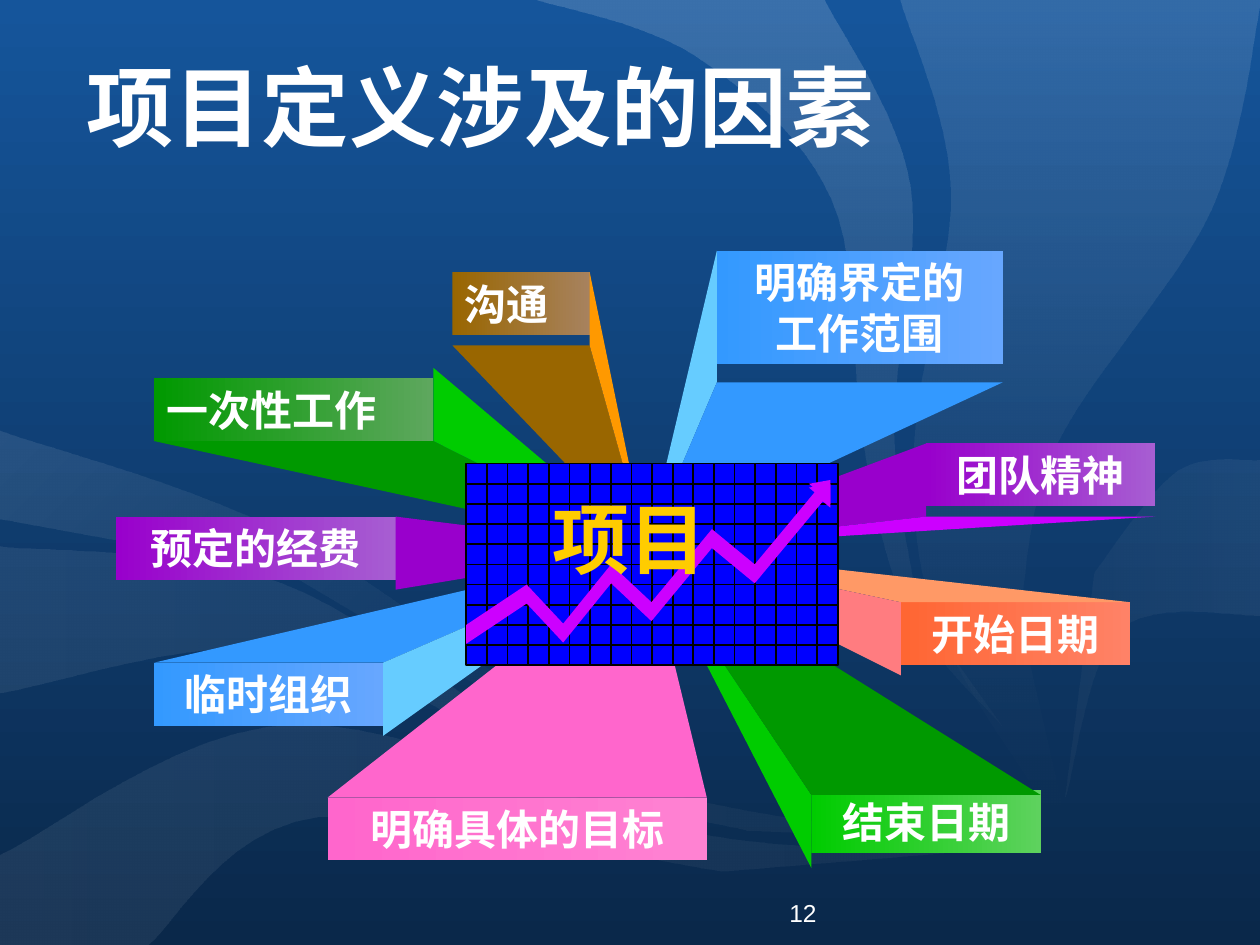
from pptx import Presentation
from pptx.dml.color import RGBColor
from pptx.enum.shapes import MSO_CONNECTOR, MSO_SHAPE
from pptx.enum.text import MSO_ANCHOR, PP_ALIGN
from pptx.oxml.ns import qn
from pptx.util import Inches, Pt
from lxml.etree import SubElement

WHITE, BLACK, GOLD, BLUE = map(RGBColor.from_string, "FFFFFF 000000 FFCC00 0000FF".split())
SKY, PALE, AZURE = map(RGBColor.from_string, "3399FF 66CCFF 67A7FF".split())
BROWN, AMBER, TAN = map(RGBColor.from_string, "996600 FF9900 A7825E".split())
PLUM, VIOLET, LILAC = map(RGBColor.from_string, "9900CC CC00FF A75ED2".split())
GREEN, LIME, SAGE, MINT = map(RGBColor.from_string, "009900 00CC00 5EA75E 5ED25E".split())
PINK, ROSE, RUST, CORAL = map(RGBColor.from_string, "FF66CC FF82D2 FF6633 FF8267".split())
PEACH, SALMON = map(RGBColor.from_string, "FF9966 FF7C80".split())
DAY, NIGHT, GREY, SILVER = map(RGBColor.from_string, "15559B 0A284A B6B6B6 DEDEDE".split())
STEEL, ASH = map(RGBColor.from_string, "C3C3C3 D1D1D1".split())
LEFT, MID, RIGHT = PP_ALIGN.LEFT, PP_ALIGN.CENTER, PP_ALIGN.RIGHT

deck = Presentation()
deck.slide_width, deck.slide_height = Inches(10), Inches(7.5)
slide = deck.slides.add_slide(deck.slide_layouts[6])
shapes = slide.shapes


def draw(points, *tones, angle=0, alpha=()):
    """Fill a polygon, or the rectangle between two corners, with one or two tones."""
    spots = [(Inches(x), Inches(y)) for x, y in points]
    if len(spots) == 2:
        (x, y), (far, low) = spots
        shape = shapes.add_shape(MSO_SHAPE.RECTANGLE, x, y, far - x, low - y)
    else:
        pen = shapes.build_freeform(*spots[0], scale=1.0)
        pen.add_line_segments(spots[1:], close=True)
        shape = pen.convert_to_shape()
    shape.shadow.inherit = False
    shape.line.fill.background()
    if len(tones) == 1:
        shape.fill.solid()
        shape.fill.fore_color.rgb = tones[0]
        return shape
    shape.fill.gradient()
    shape.fill.gradient_angle = -angle % 360
    for stop, tone in zip(shape.fill.gradient_stops, tones):
        stop.color.rgb = tone
    for node, share in zip(shape._element.iter(qn("a:srgbClr")), alpha):
        SubElement(node, qn("a:alpha")).set("val", str(share * 1000))
    return shape


def write(shape, text, size=24, font="Times New Roman", color=WHITE, bold=True,
          align=MID, anchor=MSO_ANCHOR.TOP, wrap=True):
    frame = shape.text_frame
    frame.word_wrap = wrap
    frame.vertical_anchor = anchor
    for i, line in enumerate(text.split("\n")):
        para = frame.add_paragraph() if i else frame.paragraphs[0]
        para.alignment = align
        run = para.add_run()
        run.text = line
        run.font.size, run.font.name, run.font.bold = Pt(size), font, bold
        run.font.color.rgb = color
        SubElement(run.font._element, qn("a:ea")).set("typeface", "Noto Sans CJK SC")


# Backdrop
back = slide.background.fill
back.gradient()
back.gradient_angle = 270
for stop, tone in zip(back.gradient_stops, (DAY, NIGHT)):
    stop.color.rgb = tone

# Each wave: its smooth sides, end tone pair, angle, opacity
waves = [
    ([[(0, 4.34), (2.23, 4.63), (4.71, 6.11), (7.32, 6.65)],
      [(5.92, 6.59), (4.62, 6.24), (2.33, 5.16), (0, 5.5)]], (WHITE, GREY), 0, (8, 5)),
    ([[(0, 3.42), (2.41, 4.31), (4.94, 6.12)],
      [(2.27, 4.54), (0, 4.12)]], (WHITE, SILVER), 45, (10, 0)),
    ([[(4.25, 0), (5.52, 0.45), (6.6, 1.59), (6.85, 3.51), (7.2, 4.84), (7.95, 5.76)],
      [(7.28, 4.82), (7.09, 3.42), (7.22, 1.47), (6.54, 0)]], (WHITE, STEEL), 90, (16, 3)),
    ([[(10, 4.88), (8.89, 4.99), (8.46, 6.32)],
      [(8.69, 4.54), (9.34, 3.74), (10, 3.65)]], (GREY, WHITE), 0, (5, 6)),
    ([[(7.15, 0), (7.55, 1.51), (7.26, 3.54), (7.47, 5.01), (8.5, 6.69)],
      [(8.09, 4.91), (8.38, 3.54), (9.6, 1.68), (10, 0)]], (WHITE, GREY), 90, (13, 0)),
    ([[(0, 6.78), (2.34, 5.75), (5.6, 6.62), (7.91, 6.73)],
      [(5.72, 6.91), (2.52, 6.48), (1.16, 7.5)], [(0, 7.5)]], (WHITE, ASH), 0, (8, 5)),
]
STEPS = 12
for sides, tones, angle, alpha in waves:
    points = []
    for side in sides:
        knots = side[:1] + side + side[-1:]
        for a, b, c, d in zip(knots, knots[1:], knots[2:], knots[3:]):
            for n in range(STEPS):
                t = n / STEPS
                points.append([q + t * (r - p + t * (2 * p - 5 * q + 4 * r - s
                                                     + t * (3 * q - p - 3 * r + s))) / 2
                               for p, q, r, s in zip(a, b, c, d)])
        points.append(side[-1])
    draw(points, *tones, angle=angle, alpha=alpha)

# Page number and title
page = shapes.add_textbox(Inches(5.08), Inches(7.08), Inches(1.5), Inches(0.25))
write(page, "12", size=14, font="Arial", bold=False, align=RIGHT)
title = shapes.add_textbox(Inches(0.59), Inches(0.21), Inches(8.5), Inches(1.25))
write(title, "项目定义涉及的因素", size=50, font="Calibri", align=LEFT, anchor=MSO_ANCHOR.MIDDLE)

# Factor labels, each with the tones of the sides that run to the centre
labels = [
    ("沟通", 3.59, 2.16, 1.09, (BROWN, TAN), LEFT, {"low": BROWN, "right": AMBER}),
    ("明确界定的\n工作范围", 5.69, 1.99, 2.27, (SKY, AZURE), MID, {"left": PALE, "low": SKY}),
    ("团队精神", 7.35, 3.52, 1.82, (PLUM, LILAC), MID, {"left": PLUM, "low": VIOLET}),
    ("开始日期", 7.15, 4.78, 1.82, (RUST, CORAL), MID, {"top": PEACH, "left": SALMON}),
    ("一次性工作", 1.22, 3, 2.22, (GREEN, SAGE), LEFT, {"low": GREEN, "right": LIME}),
    ("预定的经费", 0.92, 4.1, 2.22, (PLUM, LILAC), MID, {"right": PLUM}),
    ("临时组织", 1.22, 5.26, 1.82, (SKY, AZURE), MID, {"top": SKY, "right": PALE}),
    ("明确具体的目标", 2.6, 6.33, 3.01, (PINK, ROSE), MID, {"top": PINK}),
    ("结束日期", 6.44, 6.27, 1.82, (LIME, MINT), MID, {"left": LIME, "top": GREEN}),
]
HUB = (5.13, 4.35)
DEPTH = 1.16
rays = []
for text, x, y, wide, tones, align, faces in labels:
    high = 0.5 + 0.4 * text.count("\n")
    far = x + wide
    write(draw([(x, y), (far, y + high)], *tones), text, align=align)
    top, low = y, y + high * DEPTH
    if faces.get("right") == LIME:
        top, low = y + high * (1 - DEPTH), y + high
    elif faces.get("left") == LIME:
        top, low = top + 0.04, low + 0.04
    edges = {"top": [(x, top), (far, top)], "low": [(x, low), (far, low)],
             "left": [(x, top), (x, low)], "right": [(far, top), (far, low)]}
    rays += [(edges[name], tone) for name, tone in faces.items()]
for edge, tone in rays:
    draw(edge + [HUB], tone)

# Central chart board
WEST, NORTH, EAST, SOUTH = 3.7, 3.68, 6.65, 5.28
COLS, ROWS = 18, 10
board = draw([(WEST, NORTH), (EAST, SOUTH)], BLUE)
board.line.color.rgb, board.line.width = BLACK, Pt(1)
xs = [WEST + (EAST - WEST) * i / COLS for i in range(1, COLS)]
ys = [NORTH + (SOUTH - NORTH) * i / ROWS for i in range(1, ROWS)]
for ends in [(x, NORTH, x, SOUTH) for x in xs] + [(WEST, y, EAST, y) for y in ys]:
    rule = shapes.add_connector(MSO_CONNECTOR.STRAIGHT, *map(Inches, ends))
    rule.line.color.rgb, rule.line.width = BLACK, Pt(1)
    SubElement(rule._element.spPr, qn("a:effectLst"))

# Rising arrow, doubled with a slight lift
BAND = 0.12
crest = [(3.7, 4.99), (4.18, 4.67), (4.47, 4.98), (4.85, 4.51), (5.17, 4.81),
         (5.65, 4.23), (5.99, 4.51)]
head = [(6.48, 3.92), (6.42, 3.87), (6.59, 3.84), (6.59, 4.03), (6.53, 3.98)]
trend = crest + head + [(x, y + BAND) for x, y in reversed(crest)]
for lift in (0, 0.03):
    draw([(x, y - lift) for x, y in trend], VIOLET)

core = shapes.add_textbox(Inches(4.29), Inches(3.85), Inches(1.43), Inches(0.83))
write(core, "项目", size=44, font="Noto Sans CJK SC", color=GOLD, align=LEFT, wrap=False)

deck.save("out.pptx")
